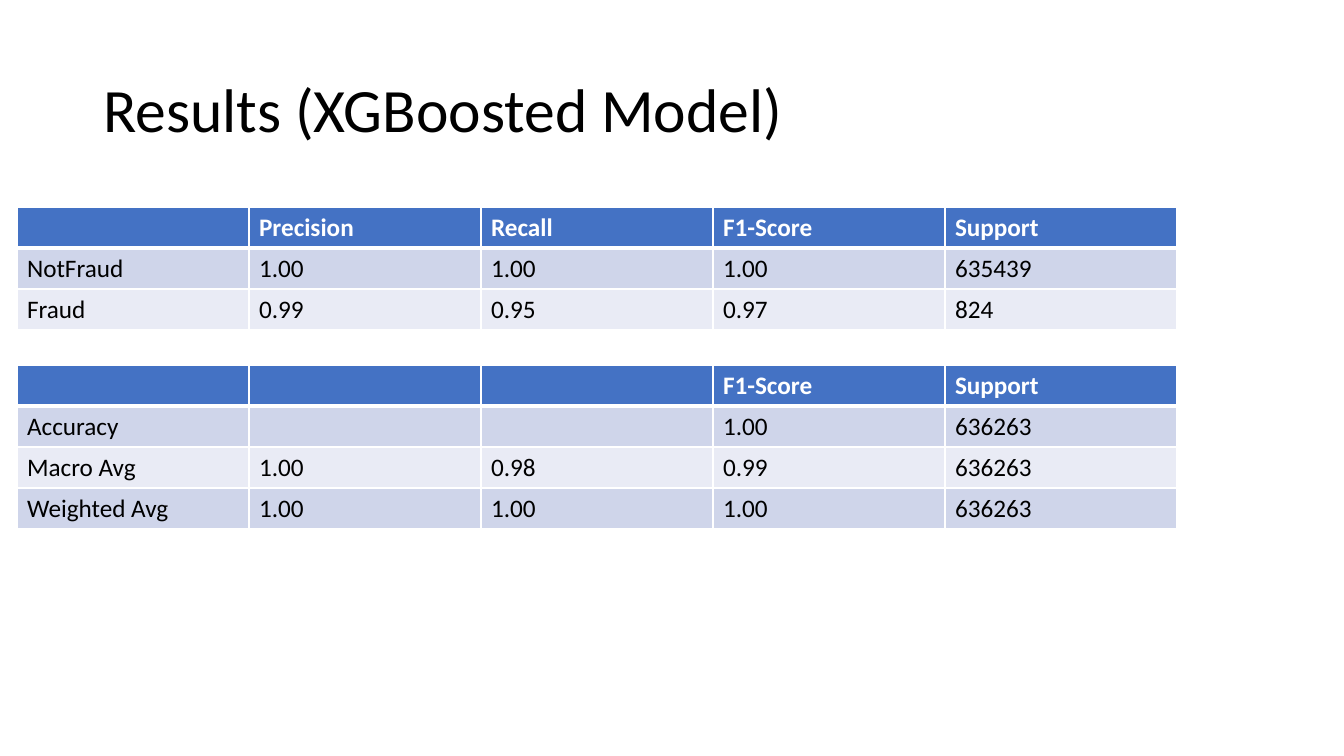
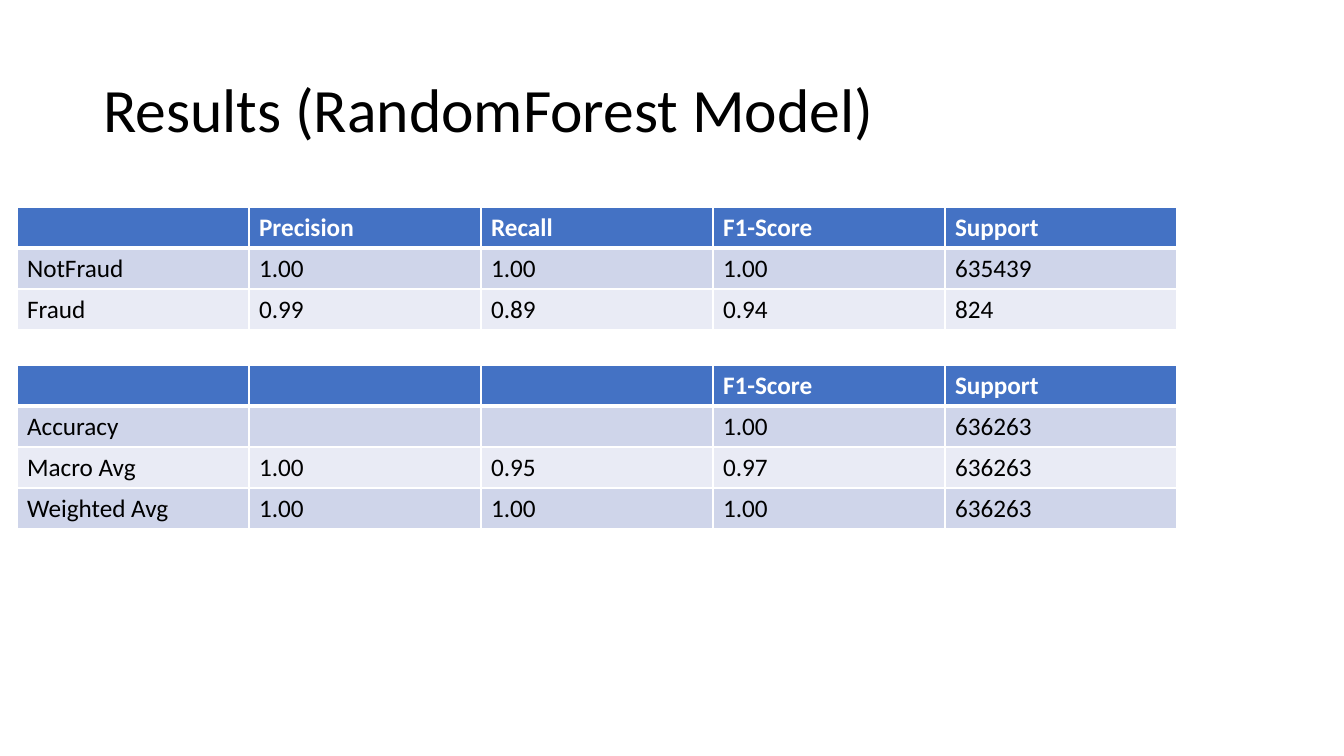
"""Build two slides that compare the results of fraud classifiers."""
import lxml.etree
import pptx
import pptx.dml.color
import pptx.enum.text
import pptx.oxml.ns
import pptx.util

EMU_PER_PIXEL = 914400 / 100.8
COLORS = {
    "ink": "000000",
    "paper": "FFFFFF",
    "header": "4472C4",
    "odd_row": "CFD5EA",
    "even_row": "E9EBF5",
}
FONT = "Calibri"
TITLE_FONT = {"name": FONT, "size": pptx.util.Pt(44), "bold": False}
HEADER_FONT = {"name": FONT, "size": pptx.util.Pt(18), "bold": True}
BODY_FONT = {**HEADER_FONT, "bold": False}
TITLE_FRAME = {
    "vertical_anchor": pptx.enum.text.MSO_ANCHOR.MIDDLE,
    "auto_size": pptx.enum.text.MSO_AUTO_SIZE.NONE,
    "word_wrap": True,
}
TITLE_PARAGRAPH = {"alignment": pptx.enum.text.PP_ALIGN.LEFT, "line_spacing": 0.9}

TABLE_LEFT, COLUMN_WIDTH, ROW_HEIGHT = 17, 232, 41
CLASS_TOP, AVERAGE_TOP = 207, 365
CLASS_HEADER = ["", "Precision", "Recall", "F1-Score", "Support"]
AVERAGE_HEADER = ["", "", "", "F1-Score", "Support"]

# Per model: the fraud scores and the macro averages (precision, recall, F1).
MODELS = {
    "XGBoosted": (["0.99", "0.95", "0.97"], ["1.00", "0.98", "0.99"]),
    "RandomForest": (["0.99", "0.89", "0.94"], ["1.00", "0.95", "0.97"]),
}
PERFECT = ["1.00"] * 3
TOTAL = "636263"


def px(pixels):
    """Turn pixels into EMU."""
    return pptx.util.Emu(round(pixels * EMU_PER_PIXEL))


def rgb(color):
    """Look up a named colour."""
    return pptx.dml.color.RGBColor.from_string(COLORS[color])


def apply_format(target, values):
    """Set every attribute in a dict of format values."""
    for attribute, value in values.items():
        setattr(target, attribute, value)


def add_title(slide, text):
    """Fill, move and format the title placeholder."""
    title = slide.shapes.title
    apply_format(title, {"left": px(93), "top": px(40),
                         "width": px(1159), "height": px(146)})
    apply_format(title.text_frame, TITLE_FRAME)
    paragraph = title.text_frame.paragraphs[0]
    apply_format(paragraph, TITLE_PARAGRAPH)
    run = paragraph.add_run()
    run.text = text
    apply_format(run.font, TITLE_FONT)
    run.font.color.rgb = rgb("ink")


def add_borders(cell, widths):
    """Draw white cell edges with the given widths in points."""
    properties = cell._tc.get_or_add_tcPr()
    qn = pptx.oxml.ns.qn
    for side, width in widths.items():
        edge = lxml.etree.SubElement(properties, qn(f"a:ln{side}"),
                                     w=str(pptx.util.Pt(width)))
        fill = lxml.etree.SubElement(edge, qn("a:solidFill"))
        lxml.etree.SubElement(fill, qn("a:srgbClr"), val=COLORS["paper"])


def format_cell(cell, text, row):
    """Write one cell in the style of its row."""
    is_header = row == 0
    add_borders(cell, {"L": 1, "R": 1, "T": 3 if row == 1 else 1,
                       "B": 3 if is_header else 1})
    cell.fill.solid()
    band = "odd_row" if row % 2 else "even_row"
    cell.fill.fore_color.rgb = rgb("header" if is_header else band)
    paragraph = cell.text_frame.paragraphs[0]
    if not text:
        apply_format(paragraph.font, BODY_FONT)
        return
    run = paragraph.add_run()
    run.text = text
    apply_format(run.font, HEADER_FONT if is_header else BODY_FONT)
    run.font.color.rgb = rgb("paper" if is_header else "ink")


def add_score_table(slide, top, rows):
    """Add a table of scores with a header row and banded rows."""
    column_count = len(rows[0])
    scores = slide.shapes.add_table(
        len(rows), column_count, px(TABLE_LEFT), px(top),
        px(COLUMN_WIDTH * column_count), px(ROW_HEIGHT * len(rows))).table
    for column in scores.columns:
        column.width = px(COLUMN_WIDTH)
    for row, texts in enumerate(rows):
        scores.rows[row].height = px(ROW_HEIGHT)
        for column, text in enumerate(texts):
            format_cell(scores.cell(row, column), text, row)


def add_results_slide(deck, model, fraud, macro):
    """Add one model's slide: scores by class, then the averages."""
    slide = deck.slides.add_slide(deck.slide_layouts.get_by_name("Title Only"))
    add_title(slide, f"Results ({model} Model)")
    add_score_table(slide, CLASS_TOP, [
        CLASS_HEADER,
        ["NotFraud", *PERFECT, "635439"],
        ["Fraud", *fraud, "824"],
    ])
    add_score_table(slide, AVERAGE_TOP, [
        AVERAGE_HEADER,
        ["Accuracy", "", "", "1.00", TOTAL],
        ["Macro Avg", *macro, TOTAL],
        ["Weighted Avg", *PERFECT, TOTAL],
    ])


def main():
    """Build and save the deck."""
    deck = pptx.Presentation()
    deck.slide_width, deck.slide_height = px(1344), px(756)
    for model, (fraud, macro) in MODELS.items():
        add_results_slide(deck, model, fraud, macro)
    deck.save("out.pptx")


main()
